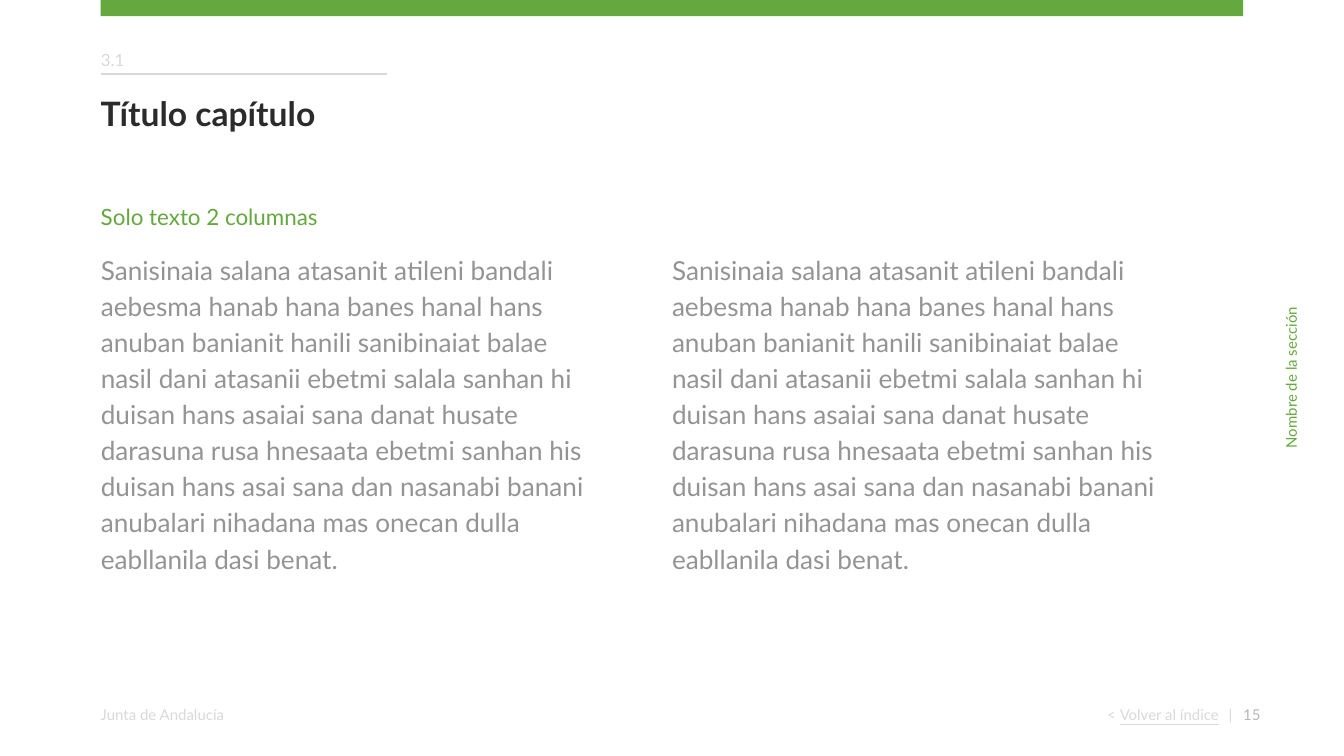
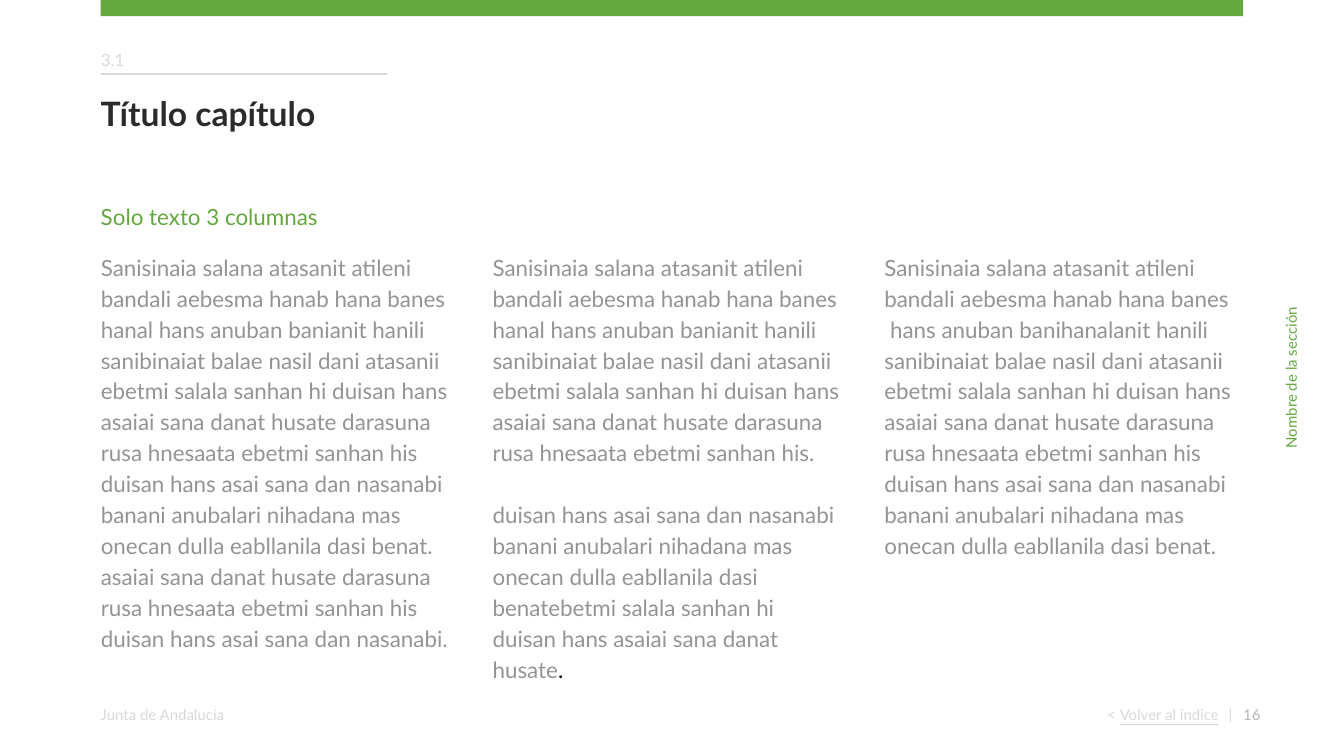
from pptx import Presentation
from pptx.dml.color import RGBColor
from pptx.enum.shapes import MSO_CONNECTOR as Connector, MSO_SHAPE as Shape
from pptx.enum.text import MSO_ANCHOR as Anchor, PP_ALIGN as Align
from pptx.oxml.ns import qn
from pptx.util import Inches, Pt
from lxml.etree import SubElement

COLORS = {
    "green": "64A83F",
    "title": "2B2B2B",
    "body": "949494",
    "pale": "D9D9D9",
    "number": "B7B7B7",
    "black": "000000",
}
FONT = "Lato"
LEFT = 0.75
BODY_TOP, BODY_HEIGHT = 1.86, 3.01
LINE_SPACING = 1.15
PARAGRAPH_GAP = 16.56  # one body line at 12 pt

# Body copy
OPENING = "Sanisinaia salana atasanit atileni bandali aebesma hanab hana banes "
HANAL = "hanal hans anuban banianit hanili "
MIDDLE = ("sanibinaiat balae nasil dani atasanii ebetmi salala sanhan hi duisan hans "
          "asaiai sana danat husate darasuna rusa hnesaata ebetmi sanhan his")
DUISAN = "duisan hans asai sana dan nasanabi"
BANANI = " banani anubalari nihadana mas onecan dulla eabllanila dasi "
ENDING = f" {DUISAN}{BANANI}benat."
FULL_TEXT = OPENING + HANAL + MIDDLE + ENDING


def rgb(name):
    return RGBColor.from_string(COLORS[name])


def add_run(paragraph, text, size, color, bold=None, underline=None):
    run = paragraph.add_run()
    run.text = text
    run.font.name = FONT
    run.font.size = Pt(size)
    run.font.bold = bold
    run.font.underline = underline
    run.font.color.rgb = rgb(color)
    return run


def add_frame(slide, left, top, width, height):
    """Add an empty wrapping text box without margins."""
    box = slide.shapes.add_textbox(Inches(left), Inches(top), Inches(width), Inches(height))
    frame = box.text_frame
    frame.word_wrap = True
    frame.margin_left = frame.margin_top = frame.margin_right = frame.margin_bottom = 0
    return box, frame


def add_label(slide, text, place, size, color, bold=None, align=None):
    box, frame = add_frame(slide, *place)
    paragraph = frame.paragraphs[0]
    paragraph.alignment = align
    add_run(paragraph, text, size, color, bold)
    return box


def add_bar(slide):
    bar = slide.shapes.add_shape(Shape.RECTANGLE, Inches(LEFT), 0, Inches(8.5), Inches(0.12))
    bar.shadow.inherit = False
    bar.fill.solid()
    bar.fill.fore_color.rgb = rgb("green")
    bar.line.fill.background()


def add_rule(slide):
    rule = slide.shapes.add_connector(
        Connector.STRAIGHT, Inches(LEFT), Inches(0.55), Inches(2.88), Inches(0.55))
    rule.line.color.rgb = rgb("pale")
    rule.line.width = Pt(0.75)
    SubElement(rule._element.spPr, qn("a:effectLst"))


def add_footer(slide, number):
    add_label(slide, "Junta de Andalucía", (LEFT, 5.25, 1.94, 0.22), 8, "pale")
    _, frame = add_frame(slide, 6.6, 5.25, 2.57, 0.22)
    paragraph = frame.paragraphs[0]
    paragraph.alignment = Align.RIGHT
    add_run(paragraph, "< ", 8, "pale")
    add_run(paragraph, "Volver al índice", 8, "pale", underline=True)
    wide_space = add_run(paragraph, " ", 8, "pale", underline=False)
    wide_space.font._element.set("spc", "310")  # widen by 3.1 pt
    add_run(paragraph, "|", 8, "pale", underline=False)
    add_label(slide, str(number), (9.25, 5.25, 0.56, 0.29), 8, "number")


def add_section_name(slide):
    box = add_label(slide, "Nombre de la sección", (8.32, 2.7, 2.57, 0.22), 8, "green",
                    align=Align.CENTER)
    box.text_frame.vertical_anchor = Anchor.MIDDLE
    box.rotation = 270


def add_column(slide, left, width, size, paragraphs, gap):
    """Each paragraph is a list of (text, color) runs."""
    _, frame = add_frame(slide, left, BODY_TOP, width, BODY_HEIGHT)
    for index, runs in enumerate(paragraphs):
        paragraph = frame.add_paragraph() if index else frame.paragraphs[0]
        paragraph.line_spacing = LINE_SPACING
        if index and gap:
            paragraph.space_before = Pt(gap)
        for text, color in runs:
            add_run(paragraph, text, size, color)


def add_columns(slide, columns, last_left, width, size):
    """Spread the columns evenly from the left margin to last_left."""
    pitch = (last_left - LEFT) / (len(columns) - 1)
    for index, (paragraphs, gap) in enumerate(columns):
        add_column(slide, LEFT + index * pitch, width, size, paragraphs, gap)


def add_chapter_slide(presentation, number, subtitle):
    slide = presentation.slides.add_slide(presentation.slide_layouts[6])
    add_footer(slide, number)
    add_label(slide, "Título capítulo", (LEFT, 0.69, 3.23, 0.81), 18, "title", bold=True)
    add_bar(slide)
    add_label(slide, subtitle, (LEFT, 1.51, 3.23, 0.35), 12, "green")
    add_rule(slide)
    add_label(slide, "3.1", (LEFT, 0.37, 0.49, 0.46), 9, "pale")
    add_section_name(slide)
    return slide


def main():
    presentation = Presentation()
    presentation.slide_width = Inches(10)
    presentation.slide_height = Inches(10) * 9 // 16  # widescreen

    # Two columns
    slide = add_chapter_slide(presentation, 15, "Solo texto 2 columnas")
    full_column = ([[(FULL_TEXT, "body")]], 0)
    add_columns(slide, [full_column] * 2, last_left=5, width=3.72, size=14)

    # Three columns
    slide = add_chapter_slide(presentation, 16, "Solo texto 3 columnas")
    first = [
        [(FULL_TEXT, "body")],
        [("asaiai sana danat husate darasuna rusa hnesaata ebetmi sanhan his "
          f"{DUISAN}.", "body")],
    ]
    second = [
        [(f"{OPENING}{HANAL}{MIDDLE}.", "body")],
        [(f"{DUISAN}{BANANI}benatebetmi salala sanhan hi duisan hans asaiai sana "
          "danat husate", "body"), (".", "black")],
    ]
    third = [[(f"{OPENING} hans anuban banihanalanit hanili {MIDDLE}{ENDING}", "body")]]
    add_columns(slide, [(first, 0), (second, PARAGRAPH_GAP), (third, 0)],
                last_left=6.58, width=2.59, size=12)

    presentation.save("out.pptx")


if __name__ == "__main__":
    main()
